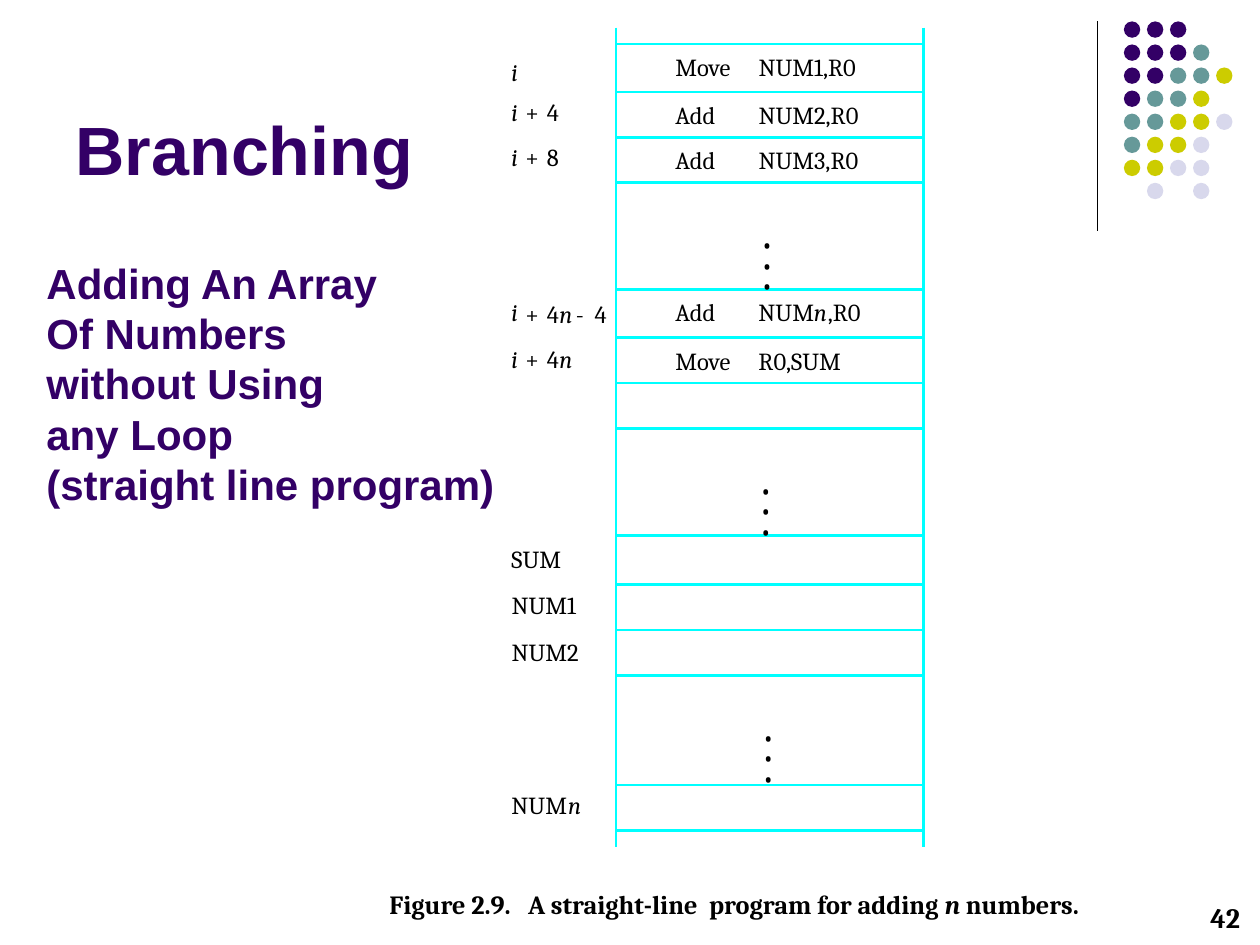
from pptx import Presentation
from pptx import util as u
from pptx.dml.color import RGBColor
from pptx.enum import shapes, text
from pptx.oxml import ns
from lxml import etree

COLORS = {
    "ink": "000000",
    "purple": "330066",
    "teal": "669999",
    "olive": "CCCC00",
    "mist": "D8D8EC",
    "cyan": "00FFFF",
}
DOT_COLORS = {"P": "purple", "T": "teal", "O": "olive", "M": "mist"}
DOT_ROWS = ["PPP", "PPPT", "PPTTO", "PTTO", "TTOOM", "TOOM", "OOMM", " M M"]
DOT_PITCH = 0.183

MEMORY_LEFT, MEMORY_RIGHT = 4.89, 7.33
MEMORY_TOP, MEMORY_BOTTOM = 0.22, 6.72
CELL_EDGES = [0.35, 0.73, 1.09, 1.45, 2.3, 2.68, 3.04, 3.4,
              4.25, 4.64, 5, 5.36, 6.23, 6.59]
ELLIPSES = [(5.94, 1.49), (5.93, 3.44), (5.95, 5.4)]

COLUMNS = {"base": 4.06, "plus": 4.17, "factor": 4.34, "count": 4.44,
           "suffix": 4.51, "minus": 4.57, "offset": 4.72, "opcode": 5.36,
           "operand": 6.02, "index": 6.46, "target": 6.57}
WIDTHS = {"i": 0.04, "n": 0.11, "+": 0.11, "-": 0.06, "4": 0.11, "8": 0.11,
          "NUM": 0.47, "NUM1": 0.55, "NUM2": 0.55, "SUM": 0.43,
          "Add": 0.35, "Move": 0.47, ",R0": 0.3, "R0,SUM": 0.73}
OPERAND_WIDTH = 0.85
VARIABLES = {"i", "n"}
MEMORY_ROWS = [
    (0.45, {"base": "i"}),
    (0.41, {"opcode": "Move", "operand": "NUM1,R0"}),
    (0.77, {"base": "i", "plus": "+", "factor": "4"}),
    (0.79, {"opcode": "Add", "operand": "NUM2,R0"}),
    (1.13, {"base": "i", "plus": "+", "factor": "8"}),
    (1.15, {"opcode": "Add", "operand": "NUM3,R0"}),
    (2.37, {"plus": "+", "factor": "4", "count": "n", "minus": "-", "offset": "4"}),
    (2.36, {"base": "i", "opcode": "Add", "operand": "NUM", "index": "n", "target": ",R0"}),
    (2.73, {"base": "i", "plus": "+", "factor": "4", "count": "n"}),
    (2.75, {"opcode": "Move", "operand": "R0,SUM"}),
    (4.32, {"base": "SUM"}),
    (4.68, {"base": "NUM1"}),
    (5.06, {"base": "NUM2"}),
    (6.27, {"base": "NUM", "suffix": "n"}),
]


def rgb(name):
    return RGBColor.from_string(COLORS[name])


def style(run, size, face="Cambria", color="ink", bold=False, italic=False):
    run.font.size = u.Pt(size)
    run.font.name = face
    run.font.color.rgb = rgb(color)
    run.font.bold = bold
    run.font.italic = italic


def add_text(slide, place, lines, size, **look):
    frame = slide.shapes.add_textbox(*map(u.Inches, place)).text_frame
    frame.word_wrap = True
    frame.text = "\n".join(lines)
    for paragraph in frame.paragraphs:
        for run in paragraph.runs:
            style(run, size, **look)
    return frame


def fit_to_text(frame):
    frame.margin_left = frame.margin_right = 0
    frame.margin_top = frame.margin_bottom = 0
    frame.word_wrap = False
    frame.auto_size = text.MSO_AUTO_SIZE.SHAPE_TO_FIT_TEXT


def add_line(slide, start, end, color, width):
    ends = map(u.Inches, (*start, *end))
    line = slide.shapes.add_connector(shapes.MSO_CONNECTOR.STRAIGHT, *ends)
    line.line.color.rgb = rgb(color)
    line.line.width = u.Pt(width)
    etree.SubElement(line._element.spPr, ns.qn("a:effectLst"))


def add_corner_dots(slide):
    add_line(slide, (8.71, 0.17), (8.71, 1.83), "ink", 0.75)
    for row, pattern in enumerate(DOT_ROWS):
        for column, key in enumerate(pattern):
            if key == " ":
                continue
            place = (8.92 + column * DOT_PITCH, 0.17 + row * DOT_PITCH, 0.13, 0.13)
            dot = slide.shapes.add_shape(shapes.MSO_SHAPE.OVAL, *map(u.Inches, place))
            dot.shadow.inherit = False
            dot.fill.solid()
            dot.fill.fore_color.rgb = rgb(DOT_COLORS[key])
            dot.line.fill.background()


def add_title(slide):
    title = slide.shapes.title
    title.left, title.top, title.width, title.height = map(
        u.Inches, (0.5, 0.13, 8.25, 1.42))
    frame = title.text_frame
    frame.text = "Branching"
    frame.vertical_anchor = text.MSO_ANCHOR.BOTTOM
    frame.paragraphs[0].alignment = text.PP_ALIGN.LEFT
    style(frame.paragraphs[0].runs[0], 39, "Arial", "purple", bold=True)


def add_memory(slide):
    for edge in CELL_EDGES:
        add_line(slide, (MEMORY_LEFT, edge), (MEMORY_RIGHT, edge), "cyan", 1.5)
    for side in (MEMORY_LEFT, MEMORY_RIGHT):
        add_line(slide, (side, MEMORY_TOP), (side, MEMORY_BOTTOM), "cyan", 1.5)
    for top, row in MEMORY_ROWS:
        for column, word in row.items():
            place = (COLUMNS[column], top, WIDTHS.get(word, OPERAND_WIDTH), 0.23)
            fit_to_text(add_text(slide, place, [word], 14, italic=word in VARIABLES))


def add_ellipsis(slide, left, top):
    frame = add_text(slide, (left, top, 0.29, 0.96), ["•"] * 3, 16)
    frame.margin_top = u.Inches(0.41)
    for paragraph in frame.paragraphs:
        paragraph.line_spacing = u.Pt(11.8)


def add_caption(slide):
    frame = add_text(slide, (3.09, 7.05, 5.86, 0.25),
                     ["Figure 2.9.   A straight-line  program for adding "], 15, bold=True)
    fit_to_text(frame)
    for words, italic in (("n", True), (" numbers.", False)):
        run = frame.paragraphs[0].add_run()
        run.text = words
        style(run, 15, bold=True, italic=italic)


def main():
    deck = Presentation()
    deck.slide_width, deck.slide_height = u.Inches(10), u.Inches(7.5)
    slide = deck.slides.add_slide(deck.slide_layouts[5])
    add_corner_dots(slide)
    add_title(slide)
    add_memory(slide)
    for left, top in ELLIPSES:
        add_ellipsis(slide, left, top)
    add_caption(slide)
    summary = add_text(slide, (0.27, 1.9, 3.79, 2.19),
                       ["Adding An Array", "Of Numbers", "without Using", "any Loop",
                        "(straight line program)"],
                       24, face="Arial", color="purple", bold=True)
    summary.vertical_anchor = text.MSO_ANCHOR.BOTTOM
    page_number = add_text(slide, (9.14, 7.1, 0.8, 0.3), ["42"], 16, bold=True)
    page_number.paragraphs[0].alignment = text.PP_ALIGN.RIGHT
    deck.save("out.pptx")


main()
